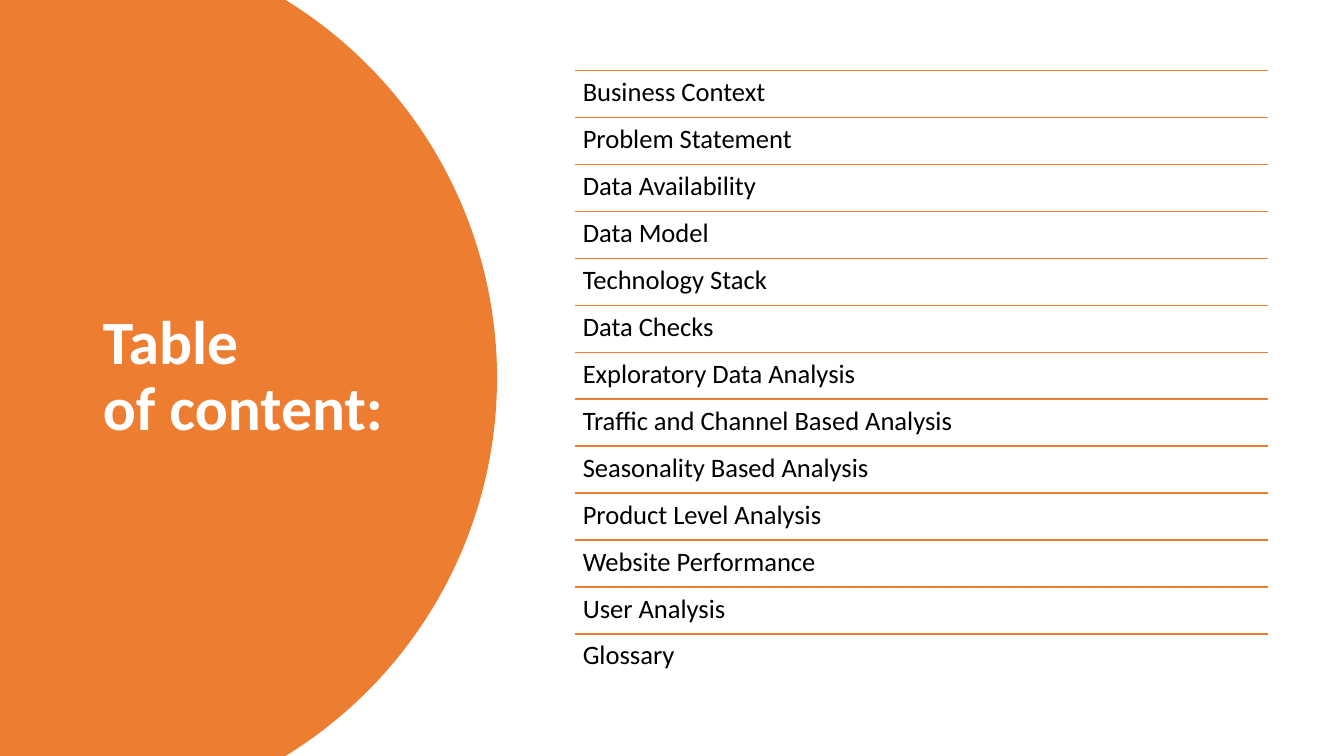
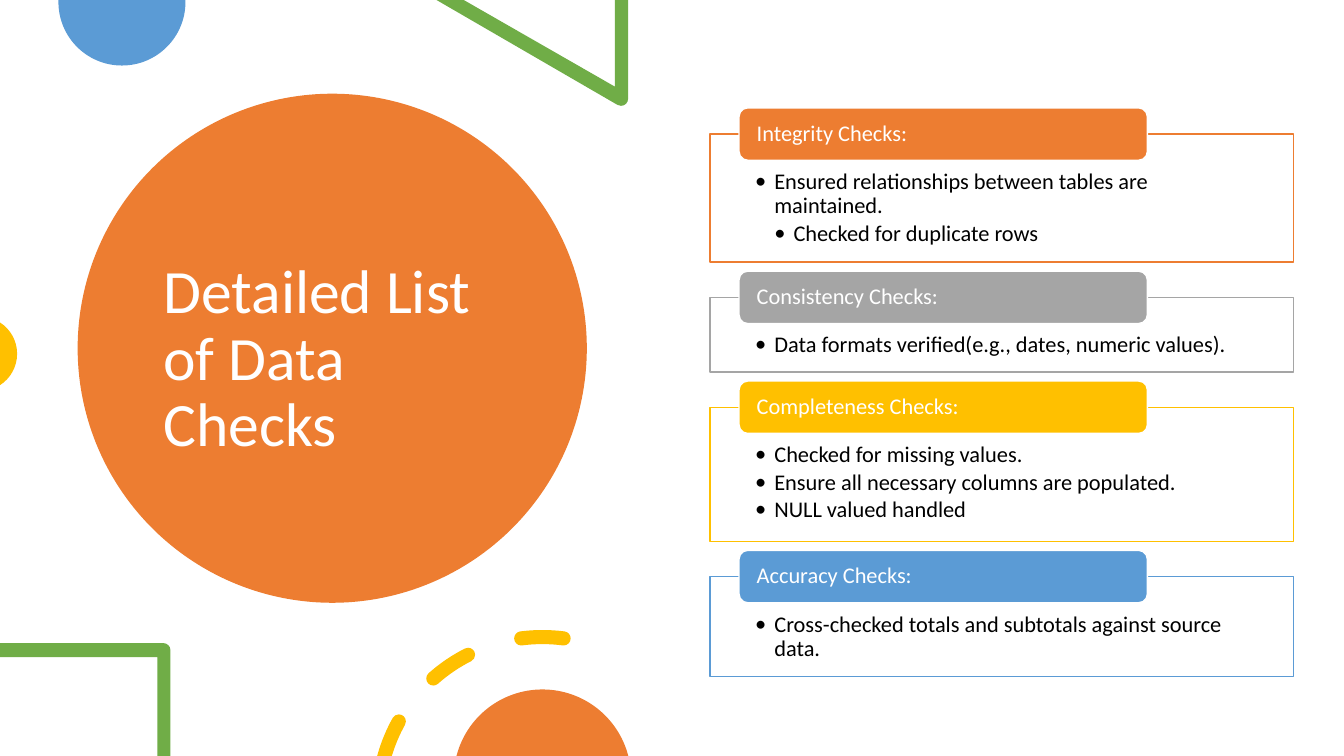
from math import cos, radians, sin, tan

from lxml.etree import SubElement
from pptx import Presentation
from pptx.dml.color import RGBColor
from pptx.enum.shapes import MSO_CONNECTOR as CONN, MSO_SHAPE as SHAPE
from pptx.enum.text import MSO_ANCHOR as ANCHOR, MSO_AUTO_SIZE as AUTO, PP_ALIGN as ALIGN
from pptx.oxml.ns import qn
from pptx.util import Pt

PX = 9144  # EMU in one px, 100 px to the inch
WIDTH, HEIGHT = 1333, 750
FONT = "Calibri"
COLORS = {
    "orange": "ED7D31", "gray": "A5A5A5", "gold": "FFC000", "blue": "5B9BD5",
    "green": "70AD47", "white": "FFFFFF", "black": "000000",
}
TITLE_ONLY, TITLE_AND_BODY = 5, 1
BULLET_INDENT = 19
NBSP = chr(160)  # keeps two words on one line


def emu(*lengths):
    return [round(n * PX) for n in lengths]


def rgb(name):
    return RGBColor.from_string(COLORS[name])


def polar(cx, cy, radius, angle):
    a = radians(angle)
    return cx + radius * cos(a), cy + radius * sin(a)


def arc(cx, cy, radius, start, end):
    """Start point, then one curve (two controls, one end) for each quadrant.

    Degrees run clockwise from the right.
    """
    low, high = sorted((start, end))
    inner = [a for a in range(-360, 721, 90) if low < a < high]
    stops = [low, *inner, high]
    if start > end:
        stops.reverse()
    outline = [polar(cx, cy, radius, start)]
    for a, b in zip(stops, stops[1:]):
        k = 4 / 3 * tan(radians(b - a) / 4)
        (x1, y1), (x2, y2) = polar(cx, cy, radius, a), polar(cx, cy, radius, b)
        outline.append(((x1 - k * (y1 - cy), y1 + k * (x1 - cx)),
                        (x2 + k * (y2 - cy), y2 - k * (x2 - cx)),
                        (x2, y2)))
    return outline


def dash(cx, cy, radius, thick, start, end, flat_start=None):
    """Round-ended piece of a ring; flat_start is the inner angle of a cut end."""
    half = thick / 2
    inner_start = start if flat_start is None else flat_start
    outline = (arc(cx, cy, radius + half, start, end)
               + arc(*polar(cx, cy, radius, end), half, end, end + 180)[1:]
               + arc(cx, cy, radius - half, end, inner_start)[1:])
    if flat_start is None:
        outline += arc(*polar(cx, cy, radius, start), half, start - 180, start)[1:]
    return outline


def write(tf, items, size=16, color="black", bold=False, after=0, bullets=False,
          anchor=ANCHOR.TOP, inset=(10, 5, 10, 5)):
    """Fill a text frame with (text, level) items, one paragraph each."""
    tf.word_wrap, tf.auto_size, tf.vertical_anchor = True, AUTO.NONE, anchor
    tf.margin_left, tf.margin_top, tf.margin_right, tf.margin_bottom = emu(*inset)
    for i, (text, level) in enumerate(items):
        p = tf.add_paragraph() if i else tf.paragraphs[0]
        p.alignment, p.line_spacing, p.level = ALIGN.LEFT, 0.9, level
        p.space_before, p.space_after = Pt(0), Pt(after)
        r = p.add_run()
        r.text = text
        r.font.name, r.font.size, r.font.bold = FONT, Pt(size), bold
        r.font.color.rgb = rgb(color)
        # Bullet and hanging indent
        pPr = p._p.get_or_add_pPr()
        hang = BULLET_INDENT * PX if bullets else 0
        pPr.set("marL", str(hang * level))
        pPr.set("indent", str(-hang))
        if bullets:
            SubElement(pPr, qn("a:buFont")).set("typeface", FONT)
            SubElement(pPr, qn("a:buChar")).set("char", "•")
        else:
            SubElement(pPr, qn("a:buNone"))


class Deck:
    def __init__(self):
        self.prs = Presentation()
        self.prs.slide_width, self.prs.slide_height = emu(WIDTH, HEIGHT)
        self.slide = None

    def new_slide(self, layout):
        self.slide = self.prs.slides.add_slide(self.prs.slide_layouts[layout])

    def place(self, sp, box):
        sp.left, sp.top, sp.width, sp.height = emu(*box)

    def paint(self, sp, fill, line=None):
        sp.shadow.inherit = False
        sp.fill.solid()
        sp.fill.fore_color.rgb = rgb(fill)
        if line:
            sp.line.color.rgb = rgb(line)
            sp.line.width = Pt(1)
        else:
            sp.line.fill.background()

    def title(self, text, box, bold=False):
        sp = self.slide.shapes.title
        self.place(sp, box)
        write(sp.text_frame, [(text, 0)], size=44, color="white", bold=bold,
              after=6, anchor=ANCHOR.MIDDLE)
        # Bring the title in front of the shape behind it
        self.slide.shapes.element.append(sp.element)

    def body(self, lines, box, **fmt):
        sp = self.slide.placeholders[1]
        self.place(sp, box)
        write(sp.text_frame, [(line, 0) for line in lines], **fmt)

    def shape(self, kind, box, fill, line=None):
        sp = self.slide.shapes.add_shape(kind, *emu(*box))
        self.paint(sp, fill, line)
        return sp

    def outline(self, fill, *contours):
        """Freeform whose contours mix points and curves (triples of points)."""
        builder = self.slide.shapes.build_freeform(*emu(*contours[0][0]))
        curved = []
        for i, (first, *rest) in enumerate(contours):
            if i:
                builder.move_to(*emu(*first))
            segments = [s if len(s) == 3 else (s,) for s in rest]
            builder.add_line_segments([emu(*pt) for s in segments for pt in s], close=True)
            curved += [len(s) == 3 for s in segments]
        sp = builder.convert_to_shape()
        # Join each triple of line points into one curve
        lines = iter(list(sp._element.iter(qn("a:lnTo"))))
        for is_curve in curved:
            ln = next(lines)
            if is_curve:
                ln.tag = qn("a:cubicBezTo")
                for other in (next(lines), next(lines)):
                    ln.append(other[0])
                    other.getparent().remove(other)
        self.paint(sp, fill)

    def rule(self, x, y, width, color):
        ln = self.slide.shapes.add_connector(CONN.STRAIGHT, *emu(x, y, x + width, y))
        ln.line.color.rgb = rgb(color)
        ln.line.width = Pt(1)
        SubElement(ln._element.spPr, qn("a:effectLst"))

    def card(self, top, height, color, heading, items):
        box = self.shape(SHAPE.RECTANGLE, (704, top, 579, height), "white", color)
        write(box.text_frame, items, after=2.4, bullets=True, inset=(45, 36, 45, 12))
        tab = self.shape(SHAPE.ROUNDED_RECTANGLE, (733, top - 26, 405, 52), color, "white")
        write(tab.text_frame, [(heading, 0)], color="white", anchor=ANCHOR.MIDDLE,
              inset=(15, 0, 15, 0))


def contents_slide(deck):
    topics = [
        "Business Context", "Problem Statement", "Data Availability", "Data Model",
        "Technology Stack", "Data Checks", "Exploratory Data Analysis",
        "Traffic and Channel Based Analysis", "Seasonality Based Analysis",
        "Product Level Analysis", "Website Performance", "User Analysis", "Glossary",
    ]
    left, top, width, pitch = 570, 70, 688, 46.58
    deck.new_slide(TITLE_AND_BODY)
    # Title on the cut-off disc
    deck.outline("orange", [(0, 0), *arc(53, 375, 440, -58.46, 58.46), (0, HEIGHT)])
    deck.title(f"Table of{NBSP}content:", (92, 70, 323, 609), bold=True)
    # Ruled list
    for i in range(len(topics)):
        deck.rule(left, top + i * pitch, width, "orange")
    deck.body(topics, (left, top, width, 606), size=19, after=13, inset=(8, 8, 8, 8))


def checks_slide(deck):
    cards = [
        (127, "orange", "Integrity Checks:",
         [("Ensured relationships between tables are maintained.", 1),
          ("Checked for duplicate rows", 2)]),
        (74, "gray", "Consistency Checks:",
         [("Data formats verified(e.g., dates, numeric values).", 1)]),
        (133, "gold", "Completeness Checks:",
         [("Checked for missing values.", 1),
          ("Ensure all necessary columns are populated.", 1),
          ("NULL valued handled", 1)]),
        (99, "blue", "Accuracy Checks:",
         [("Cross-checked totals and subtotals against source data.", 1)]),
    ]
    deck.new_slide(TITLE_ONLY)
    # Title on the disc
    deck.shape(SHAPE.OVAL, (77, 93, 505, 505), "orange")
    deck.title("Detailed List of Data Checks", (152, 135, 354, 445))
    # Ornaments at the slide edges
    deck.outline("blue", [(184, 0), *arc(121, 2, 63, 0, 180), (58, 0)])
    deck.outline("green", [(623, 0), (610, 0), (610, 86), (460, 0), (433, 0),
                           *arc(616, 98, 7, 120, 0)])
    deck.outline("gold", arc(-20, 351, 37, -57.28, 57.28))
    deck.outline("green", [(0, 638), (0, 652), (156, 652), (156, HEIGHT), (169, HEIGHT),
                           *arc(162, 645, 7, 0, -90)])
    ring = (538, 795, 163, 14)
    deck.outline("gold", dash(*ring, 195.35, 209.1, flat_start=196.77),
                 dash(*ring, 228.4, 243.1), dash(*ring, 262.6, 277.4))
    deck.outline("orange", arc(538, 772, 88, 194.48, 345.52))
    # Stack of cards
    top, gap = 133, 35
    for height, color, heading, items in cards:
        deck.card(top, height, color, heading, items)
        top += height + gap


def main():
    deck = Deck()
    contents_slide(deck)
    checks_slide(deck)
    deck.prs.save("out.pptx")


if __name__ == "__main__":
    main()
